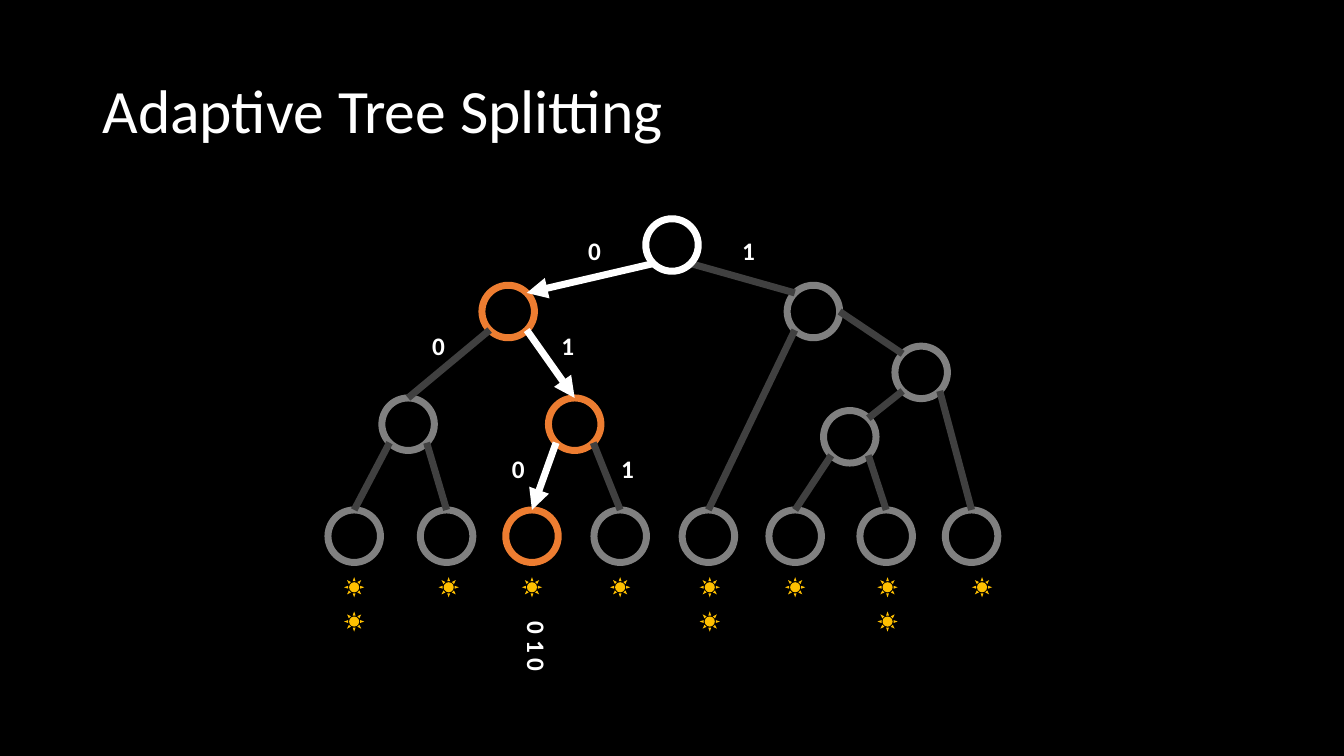
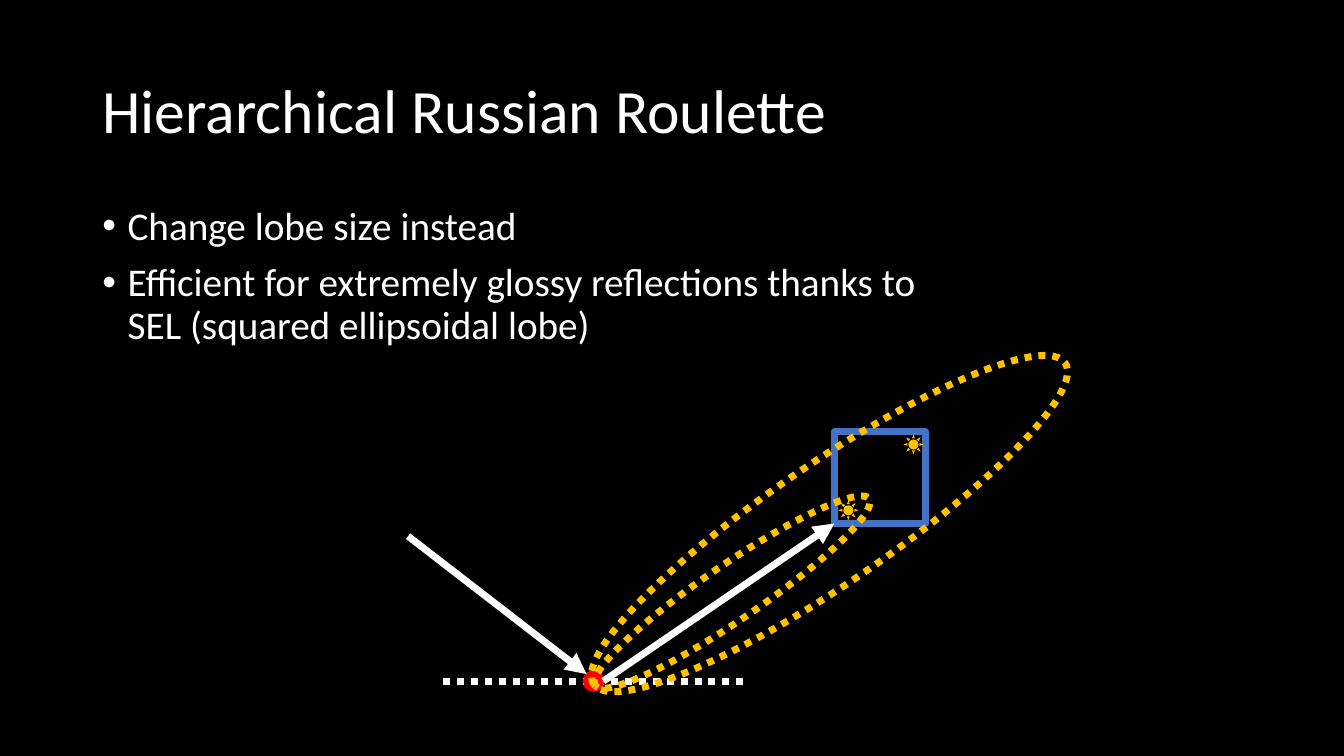
import math
from dataclasses import dataclass

from lxml import etree
from pptx import Presentation
from pptx.dml.color import RGBColor
from pptx.enum import dml, shapes, text
from pptx.oxml.ns import qn
from pptx.util import Pt


@dataclass(frozen=True)
class Theme:
    font: str = "Calibri"
    back: str = "000000"
    ink: str = "FFFFFF"
    edge: str = "404040"
    node: str = "808080"
    hot: str = "ED7D31"
    sun: str = "FFC000"
    cell: str = "4472C4"
    hit: str = "FF0000"
    title: int = 44
    body: int = 28
    label: int = 18
    stroke: int = 5


@dataclass(frozen=True)
class Box:
    x: float
    y: float
    w: float
    h: float

    def sub(self, x, y, w, h):
        return Box(self.x + x, self.y + y, w, h)

    def mid(self, x, y, w, h):
        """Box of the given size, centred on a point of this box."""
        return self.sub(x - w / 2, y - h / 2, w, h)

    def emu(self):
        return [Pt(v) for v in (self.x, self.y, self.w, self.h)]


THEME = Theme()
KIND = shapes.MSO_SHAPE
DOTS = dml.MSO_LINE.ROUND_DOT
HEAD = Box(66, 29, 828, 104)
BODY = Box(66, 144, 828, 343)
TREE = Box(234, 156, 479, 360)
SCENE = Box(291.5, 308, 505, 190)

DIAM = 37.5
SUN = 14.4
SIDES = ("n", "nw", "w", "sw", "s", "se", "e", "ne")
ROOT = (246, 19)
INNER = {"0": (129, 66.5), "1": (347, 66.5), "00": (57.5, 147),
         "01": (176.5, 147), "11": (424, 110), "110": (373, 156)}
# leaf code: centre of the node, centre of its suns, number of suns
LEAVES = {"000": (19, 19, 2), "001": (85, 86.5, 1), "010": (146, 146, 1),
          "011": (209, 209, 1), "10": (272, 273, 2), "1100": (334, 334, 1),
          "1101": (399, 400, 2), "111": (460, 467.5, 1)}
LEAFY = 227
ROUTE = ("0", "01", "010")
# sides where an edge leaves and enters, where the rule is not enough
TURNS = {"0": ("sw", "ne"), "1": ("se", "nw"), "11": ("e", "nw"),
         "110": ("sw", "ne")}
MARKS = (("0", 191, 23), ("0", 79.5, 91), ("0", 136.5, 179),
         ("1", 301, 23), ("1", 172, 91), ("1", 214.5, 179))


def rgb(code):
    return RGBColor.from_string(code)


def ink(para, size, bold=False):
    for run in para.runs:
        font = run.font
        font.name, font.size, font.bold = THEME.font, Pt(size), bold
        font.color.rgb = rgb(THEME.ink)
    for gap in para._p.findall(qn("a:br")):
        etree.SubElement(gap, qn("a:rPr"), sz=str(size * 100))


def place(shape, box):
    shape.left, shape.top, shape.width, shape.height = box.emu()


def draw(slide, kind, box, line=None, fill=None, width=THEME.stroke):
    shape = slide.shapes.add_shape(kind, *box.emu())
    shape.shadow.inherit = False
    for part, code in ((shape.fill, fill), (shape.line.fill, line)):
        if code:
            part.solid()
            part.fore_color.rgb = rgb(code)
        else:
            part.background()
    if line:
        shape.line.width = Pt(width)
    return shape


def link(slide, box, start, end, color, arrow=False):
    ends = [Pt(v) for x, y in (start, end) for v in (box.x + x, box.y + y)]
    line = slide.shapes.add_connector(shapes.MSO_CONNECTOR.STRAIGHT, *ends)
    line.line.color.rgb = rgb(color)
    line.line.width = Pt(THEME.stroke)
    if arrow:
        etree.SubElement(line.line._get_or_add_ln(), qn("a:tailEnd"),
                         type="triangle")
    etree.SubElement(line.element.spPr, qn("a:effectLst"))
    return line


def label(slide, box, words):
    shape = slide.shapes.add_textbox(*box.emu())
    frame = shape.text_frame
    frame.word_wrap = False
    frame.text = words
    ink(frame.paragraphs[0], THEME.label, True)
    return shape


def sun(slide, box, x, y):
    draw(slide, KIND.SUN, box.mid(x, y, SUN, SUN), fill=THEME.sun)


def page(deck, layout, title):
    slide = deck.slides.add_slide(deck.slide_layouts.get_by_name(layout))
    head = slide.shapes.title
    place(head, HEAD)
    frame = head.text_frame
    frame.text = title
    frame.vertical_anchor = text.MSO_ANCHOR.MIDDLE
    frame.auto_size = text.MSO_AUTO_SIZE.NONE
    para = frame.paragraphs[0]
    para.alignment = text.PP_ALIGN.LEFT
    para.line_spacing = 0.9
    ink(para, THEME.title)
    return slide


def bullets(slide, box, items):
    shape = slide.placeholders[1]
    place(shape, box)
    frame = shape.text_frame
    frame.auto_size = text.MSO_AUTO_SIZE.NONE
    for i, item in enumerate(items):
        para = frame.add_paragraph() if i else frame.paragraphs[0]
        para.text = item
        props = para._p.get_or_add_pPr()
        props.set("marL", str(Pt(18)))
        props.set("indent", str(-Pt(18)))
        etree.SubElement(props, qn("a:buChar"), char="•")
        para.line_spacing = 0.9
        para.space_before = Pt(10 if i else 0)
        ink(para, THEME.body)


def site(spot, side):
    """Point on the rim of the node centred at spot."""
    turn = math.radians(45 * SIDES.index(side))
    rad = DIAM / 2
    return spot[0] - rad * math.sin(turn), spot[1] - rad * math.cos(turn)


def tree(slide, box):
    spots = dict(INNER)
    spots.update((code, (leaf[0], LEAFY)) for code, leaf in LEAVES.items())
    for code, spot in spots.items():
        draw(slide, KIND.OVAL, box.mid(*spot, DIAM, DIAM),
             THEME.hot if code in ROUTE else THEME.node)
    spots[""] = ROOT
    for code, spot in spots.items():
        if not code:
            continue
        out, into = TURNS.get(code, ("sw" if code[-1] == "0" else "se", "n"))
        live = code in ROUTE
        link(slide, box, site(spots[code[:-1]], out), site(spot, into),
             THEME.ink if live else THEME.edge, live)
    draw(slide, KIND.OVAL, box.mid(*ROOT, DIAM, DIAM), THEME.ink)
    for _, x, count in LEAVES.values():
        for row in range(count):
            sun(slide, box, x, 263.5 + 24.5 * row)
    for bit, x, y in MARKS:
        label(slide, box.mid(x, y, 24, 29), bit)
    code = label(slide, box.sub(127.5, 281, 36.5, 78.5), "0 1 0")
    code.element.txBody.bodyPr.set("vert", "eaVert")


def lobes(slide, box):
    draw(slide, KIND.RECTANGLE, box.sub(304.5, 0, 65, 66), THEME.cell)
    sun(slide, box, 314.5, 56.5)
    sun(slide, box, 361, 9.5)
    floor = link(slide, box, (25, 178.5), (240, 178.5), THEME.ink)
    floor.line.dash_style = DOTS
    draw(slide, KIND.OVAL, box.mid(132.5, 178.5, SUN, SUN),
         THEME.hit, THEME.hit, 1)
    link(slide, box, (0, 75), (127.5, 173.5), THEME.ink, True)
    link(slide, box, (139.5, 178.5), (304.5, 66), THEME.ink, True)
    for spot in ((231.5, 115, 237, 39.5), (301, 66, 407.5, 85.5)):
        lobe = draw(slide, KIND.OVAL, box.mid(*spot), THEME.sun)
        lobe.rotation = 325.7
        lobe.line.dash_style = DOTS


def main():
    deck = Presentation()
    deck.slide_width, deck.slide_height = Pt(960), Pt(540)
    back = deck.slide_master.background.fill
    back.solid()
    back.fore_color.rgb = rgb(THEME.back)

    tree(page(deck, "Title Only", "Adaptive Tree Splitting"), TREE)

    slide = page(deck, "Title and Content", "Hierarchical Russian Roulette")
    bullets(slide, BODY, (
        "Change lobe size instead",
        "Efficient for extremely glossy reflections thanks to\v"
        "SEL (squared ellipsoidal lobe)"))
    lobes(slide, SCENE)
    deck.save("out.pptx")


if __name__ == "__main__":
    main()
